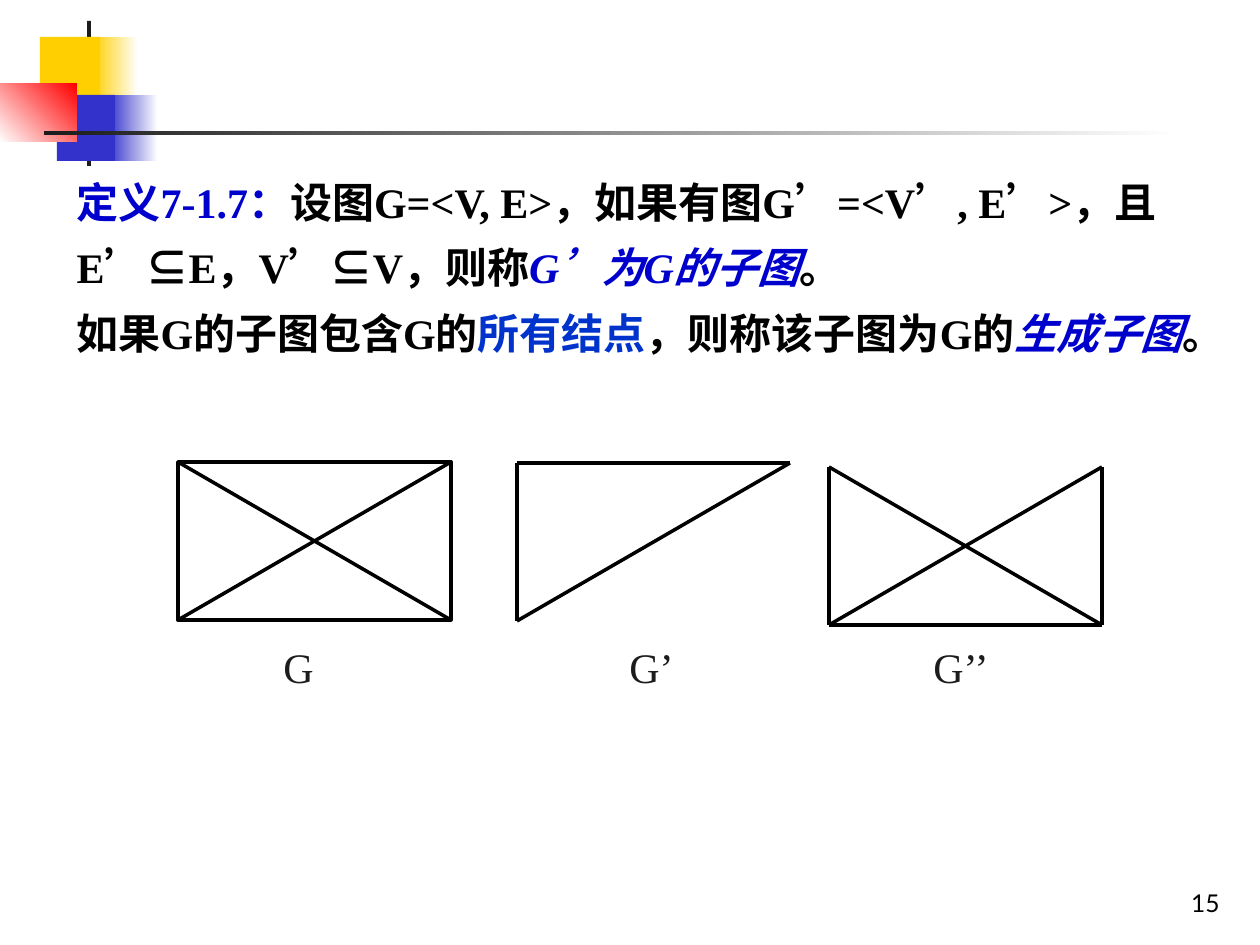
import pptx
import pptx.util
import pptx.dml.color
import pptx.enum.lang
import pptx.enum.shapes
import pptx.enum.text
from lxml import etree

PX = 914400 // 126
BLACK, DARK, BLUE, WHITE = "000000", "1C1C1C", "0000CC", "FFFFFF"
SERIF = "Times New Roman"

# Decoration: box in px, colours (two make a gradient), gradient angle
DECORATION = [
    ((93, 37, 45, 66), ["FFCF01", WHITE], 0),
    ((108, 95, 50, 66), ["3333CC", WHITE], 0),
    ((87, 21, 4, 145), [DARK], 0),
    ((40, 37, 60, 66), ["FFCF01"], 0),
    ((57, 95, 58, 66), ["3333CC"], 0),
    ((0, 84, 77, 58), [WHITE, "FF0000"], 45),
    ((44, 131, 1134, 4), [DARK, WHITE], 0),
]

# Definition: paragraphs of (text, colour, italic)
BODY_BOX = (64, 155, 1140, 209)
DEFINITION = [
    [("定义7-1.7：", BLUE, False),
     ("设图G=<V, E>，如果有图G’=<V’, E’>，且E’⊆E，V’⊆V，则称", BLACK, False),
     ("G’为G的子图", BLUE, True),
     ("。", BLACK, False)],
    [("如果G的子图包含G的", BLACK, False),
     ("所有结点", "0033CC", False),
     ("，则称该子图为G的", BLACK, False),
     ("生成子图", BLUE, True),
     ("。", BLACK, False)],
]

# Graphs: corners as (column, row); each graph has an origin and its edges
GRAPH_WIDTH, GRAPH_HEIGHT = 273, 158
RISING, FALLING = ((0, 1), (1, 0)), ((1, 1), (0, 0))
TOP, BOTTOM = ((0, 0), (1, 0)), ((0, 1), (1, 1))
LEFT, RIGHT = ((0, 0), (0, 1)), ((1, 0), (1, 1))
FRAME_ORIGIN = (178, 462)
GRAPHS = [
    (FRAME_ORIGIN, [RISING, FALLING]),
    ((517, 463), [TOP, LEFT, RISING]),
    ((829, 467), [BOTTOM, LEFT, RIGHT, RISING, FALLING]),
]
LABEL_BOX = (186, 635, 853, 63)
LABELS = [("G", 85), ("G’", 431), ("G’’", 735)]  # text, tab stop in px

NUMBER_BOX = (970, 861, 262, 63)


def color(value):
    return pptx.dml.color.RGBColor.from_string(value)


def emu(values):
    return [value * PX for value in values]


def format_font(font, value, **formats):
    font.color.rgb = color(value)
    for name, setting in formats.items():
        setattr(font, name, setting)


def outline(line):
    line.color.rgb = color(BLACK)
    line.width = pptx.util.Pt(2)


def add_rectangle(slide, box):
    shape = slide.shapes.add_shape(pptx.enum.shapes.MSO_SHAPE.RECTANGLE, *emu(box))
    shape.shadow.inherit = False
    return shape


def add_decoration(slide, box, colors, angle):
    shape = add_rectangle(slide, box)
    shape.line.fill.background()
    if len(colors) == 1:
        shape.fill.solid()
        shape.fill.fore_color.rgb = color(colors[0])
        return
    shape.fill.gradient()
    shape.fill.gradient_angle = angle
    for position, (stop, value) in enumerate(zip(shape.fill.gradient_stops, colors)):
        stop.position = position
        stop.color.rgb = color(value)


def add_edge(slide, origin, edge):
    points = [start + step * size for corner in edge
              for start, step, size in zip(origin, corner, (GRAPH_WIDTH, GRAPH_HEIGHT))]
    line = slide.shapes.add_connector(
        pptx.enum.shapes.MSO_CONNECTOR.STRAIGHT, *emu(points))
    outline(line.line)
    etree.SubElement(line._element.spPr, pptx.oxml.ns.qn("a:effectLst"))


def add_text(slide, box, text, value, **formats):
    frame = slide.shapes.add_textbox(*emu(box)).text_frame
    frame.word_wrap = True
    paragraph = frame.paragraphs[0]
    run = paragraph.add_run()
    run.text = text
    format_font(run.font, value, **formats)
    return frame, paragraph


def fill_body(body):
    for name, value in zip(("left", "top", "width", "height"), emu(BODY_BOX)):
        setattr(body, name, value)
    frame = body.text_frame
    frame.auto_size = pptx.enum.text.MSO_AUTO_SIZE.SHAPE_TO_FIT_TEXT
    for index, runs in enumerate(DEFINITION):
        paragraph = frame.add_paragraph() if index else frame.paragraphs[0]
        paragraph.line_spacing = 1.3
        paragraph.space_before = pptx.util.Pt(0)
        properties = paragraph._p.get_or_add_pPr()
        properties.set("marL", "0")
        properties.set("indent", "0")
        etree.SubElement(properties, pptx.oxml.ns.qn("a:buNone"))
        for text, value, italic in runs:
            run = paragraph.add_run()
            run.text = text
            format_font(run.font, value, name=SERIF, size=pptx.util.Pt(24),
                        bold=True, italic=italic,
                        language_id=pptx.enum.lang.MSO_LANGUAGE_ID.SIMPLIFIED_CHINESE)


def main():
    presentation = pptx.Presentation()
    presentation.slide_width = pptx.util.Inches(10)
    presentation.slide_height = pptx.util.Inches(7.5)
    slide = presentation.slides.add_slide(presentation.slide_layouts[1])
    title = slide.shapes.title._element
    title.getparent().remove(title)

    for box, colors, angle in DECORATION:
        add_decoration(slide, box, colors, angle)

    fill_body(slide.placeholders[1])

    # Graphs: the first one has a full frame
    frame = add_rectangle(slide, (*FRAME_ORIGIN, GRAPH_WIDTH, GRAPH_HEIGHT))
    frame.fill.background()
    outline(frame.line)
    for origin, edges in GRAPHS:
        for edge in edges:
            add_edge(slide, origin, edge)

    # Graph names on tab stops
    names = "".join("\t" + name for name, stop in LABELS)
    _, paragraph = add_text(slide, LABEL_BOX, names, DARK,
                            name=SERIF, size=pptx.util.Pt(24))
    tabs = etree.SubElement(paragraph._p.get_or_add_pPr(), pptx.oxml.ns.qn("a:tabLst"))
    for _, stop in LABELS:
        etree.SubElement(tabs, pptx.oxml.ns.qn("a:tab"), pos=str(stop * PX), algn="l")

    # Slide number
    frame, paragraph = add_text(slide, NUMBER_BOX, "15", BLACK,
                                name="Lato", size=pptx.util.Pt(14))
    frame.vertical_anchor = pptx.enum.text.MSO_ANCHOR.BOTTOM
    paragraph.alignment = pptx.enum.text.PP_ALIGN.RIGHT

    presentation.save("out.pptx")


if __name__ == "__main__":
    main()
